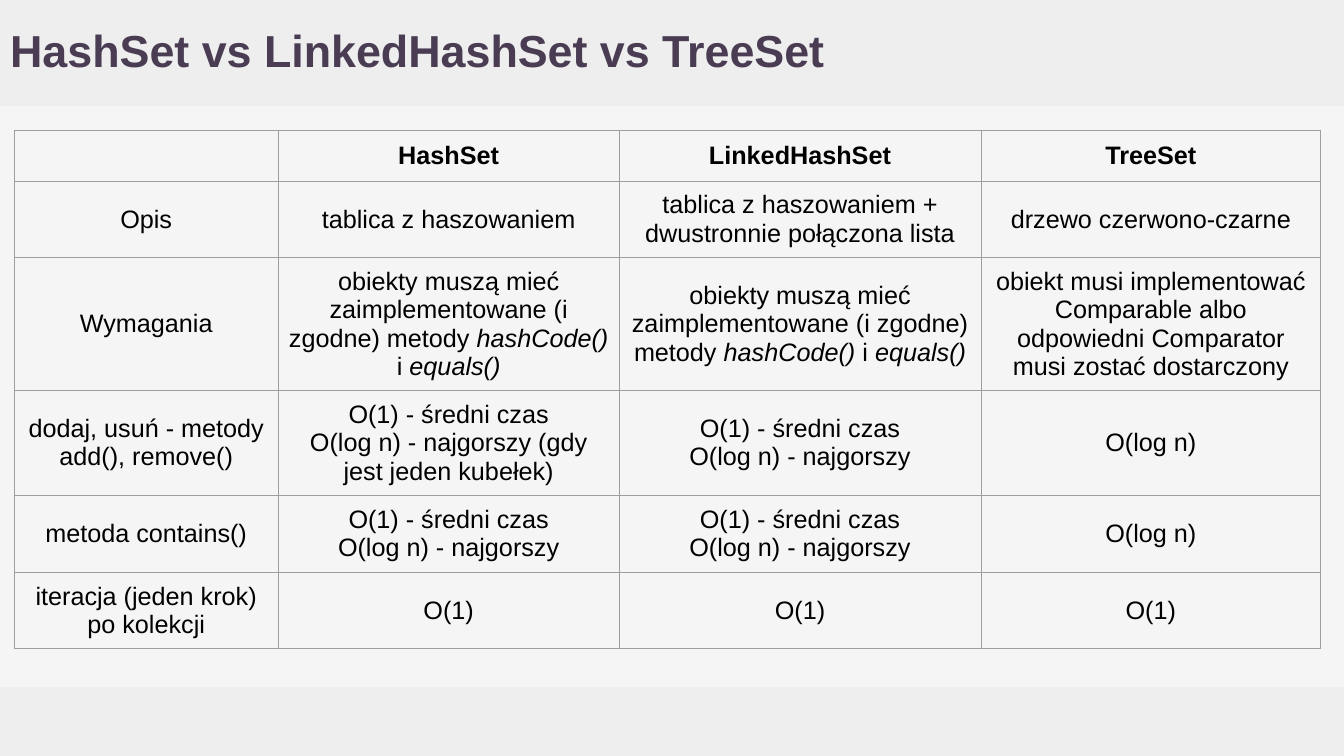
"""Builds a slide comparing three Java set implementations."""
from dataclasses import dataclass

from lxml import etree
from pptx import Presentation
from pptx.dml.color import RGBColor
from pptx.enum.shapes import MSO_SHAPE
from pptx.enum.text import MSO_ANCHOR, PP_ALIGN
from pptx.oxml.ns import qn
from pptx.util import Inches, Pt

RECTANGLE = MSO_SHAPE.RECTANGLE
MIDDLE = MSO_ANCHOR.MIDDLE
LEFT, CENTER = PP_ALIGN.LEFT, PP_ALIGN.CENTER
TITLE_ONLY = 5


@dataclass(frozen=True)
class Theme:
    font: str = "Arial"
    background: str = "F5F5F5"
    band: str = "EEEEEE"
    title: str = "4A3D53"
    text: str = "000000"
    border: str = "9E9E9E"
    title_size: float = 32
    text_size: float = 18
    border_width: float = 0.75
    inset: float = 0.1


def write_text(frame, paragraphs, *, font, size, color, bold=False,
               align=LEFT, spacing=1.0):
    """Fill a frame; each paragraph alternates plain and italic parts."""
    for index, parts in enumerate(paragraphs):
        paragraph = frame.add_paragraph() if index else frame.paragraphs[0]
        paragraph.alignment = align
        paragraph.line_spacing = spacing
        for position, part in enumerate(parts):
            run = paragraph.add_run()
            run.text = part
            run.font.name = font
            run.font.size = Pt(size)
            run.font.bold = bold
            run.font.italic = position % 2 == 1
            run.font.color.rgb = RGBColor.from_string(color)


class SlideBuilder:
    def __init__(self, slide, theme):
        self.slide = slide
        self.theme = theme
        fill = slide.background.fill
        fill.solid()
        fill.fore_color.rgb = RGBColor.from_string(theme.background)

    def band(self, top, height, width):
        band = self.slide.shapes.add_shape(
            RECTANGLE, 0, Inches(top), Inches(width), Inches(height))
        band.shadow.inherit = False
        band.fill.solid()
        band.fill.fore_color.rgb = RGBColor.from_string(self.theme.band)
        band.line.fill.background()

    def title(self, text, width, height):
        theme = self.theme
        title = self.slide.shapes.title
        title.left, title.top = 0, 0
        title.width, title.height = Inches(width), Inches(height)
        frame = title.text_frame
        frame.word_wrap = True
        frame.vertical_anchor = MIDDLE
        self.set_margins(frame)
        write_text(frame, [[text]], font=theme.font, size=theme.title_size,
                   color=theme.title, bold=True, spacing=0.9)
        self.slide.shapes._spTree.append(title._element)

    def set_margins(self, holder):
        inset = Inches(self.theme.inset)
        holder.margin_left = holder.margin_right = inset
        holder.margin_top = holder.margin_bottom = inset

    def table(self, rows, left, top, widths, heights):
        theme = self.theme
        table = self.slide.shapes.add_table(
            len(rows), len(widths), Inches(left), Inches(top),
            Inches(sum(widths)), Inches(sum(heights))).table
        table.first_row = table.horz_banding = False
        for column, width in zip(table.columns, widths):
            column.width = Inches(width)
        for row, height in zip(table.rows, heights):
            row.height = Inches(height)
        for row_index, row in enumerate(rows):
            for column_index, paragraphs in enumerate(row):
                cell = table.cell(row_index, column_index)
                cell.vertical_anchor = MIDDLE
                self.set_margins(cell)
                write_text(cell.text_frame, paragraphs, font=theme.font,
                           size=theme.text_size, color=theme.text,
                           bold=row_index == 0, align=CENTER)
                self.border(cell)
                cell.fill.background()

    def border(self, cell):
        properties = cell._tc.get_or_add_tcPr()
        for side in ("a:lnL", "a:lnR", "a:lnT", "a:lnB"):
            line = etree.SubElement(properties, qn(side),
                                    w=str(Pt(self.theme.border_width)))
            fill = etree.SubElement(line, qn("a:solidFill"))
            etree.SubElement(fill, qn("a:srgbClr"), val=self.theme.border)


def main():
    width, height = 13.33, 7.5
    header_height, footer_height = 1.05, 0.68
    average = ["O(1) - średni czas"]
    usual_cost = [average, ["O(log n) - najgorszy"]]
    single_bucket_cost = [
        average, ["O(log n) - najgorszy (gdy jest jeden kubełek)"]]
    constant, logarithmic = [["O(1)"]], [["O(log n)"]]
    hash_contract = [["obiekty muszą mieć zaimplementowane (i zgodne) metody ",
                      "hashCode()", " i ", "equals()"]]
    comparison = [
        [[], [["HashSet"]], [["LinkedHashSet"]], [["TreeSet"]]],
        [[["Opis"]], [["tablica z haszowaniem"]],
         [["tablica z haszowaniem + dwustronnie połączona lista"]],
         [["drzewo czerwono-czarne"]]],
        [[["Wymagania"]], hash_contract, hash_contract,
         [["obiekt musi implementować Comparable albo odpowiedni "
           "Comparator musi zostać dostarczony"]]],
        [[["dodaj, usuń - metody add(), remove()"]],
         single_bucket_cost, usual_cost, logarithmic],
        [[["metoda contains()"]], usual_cost, usual_cost, logarithmic],
        [[["iteracja (jeden krok) po kolekcji"]],
         constant, constant, constant],
    ]

    presentation = Presentation()
    presentation.slide_width = Inches(width)
    presentation.slide_height = Inches(height)
    slide = presentation.slides.add_slide(
        presentation.slide_layouts[TITLE_ONLY])
    builder = SlideBuilder(slide, Theme())
    builder.band(height - footer_height, footer_height, width)
    builder.band(0, header_height, width)
    builder.title("HashSet vs LinkedHashSet vs TreeSet", 11.92, header_height)
    builder.table(comparison, 0.14, 1.29, (2.62, 3.38, 3.59, 3.37),
                  (0.48, 0.76, 1.32, 1.04, 0.76, 0.76))
    presentation.save("out.pptx")


if __name__ == "__main__":
    main()
